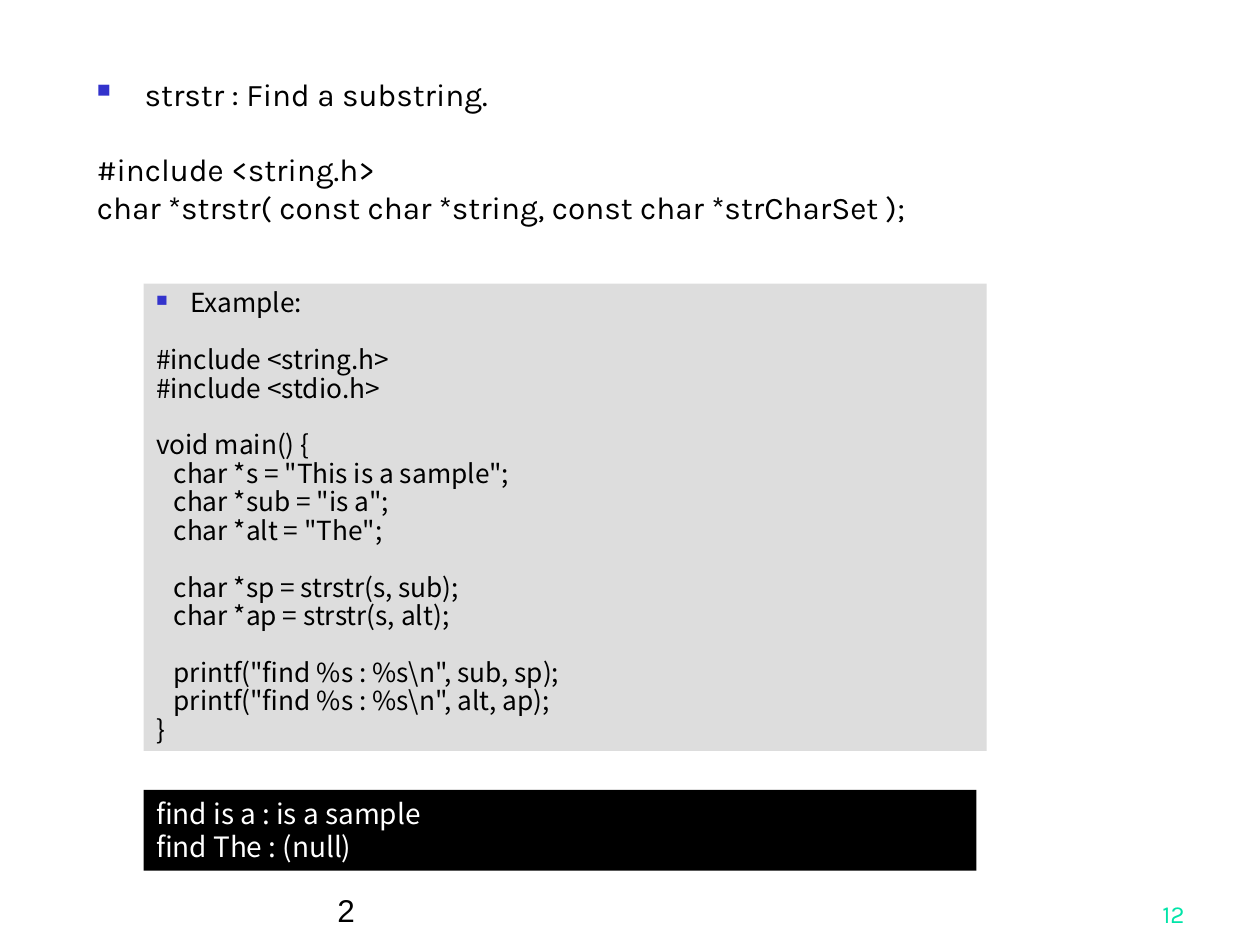
"""Build a slide that explains the C function strstr with an example and its output."""
from lxml.etree import SubElement
from pptx import Presentation
from pptx.dml.color import RGBColor
from pptx.enum.text import MSO_ANCHOR, PP_ALIGN
from pptx.oxml.ns import qn
from pptx.util import Inches, Pt

BLACK = RGBColor(0x00, 0x00, 0x00)
WHITE = RGBColor(0xFF, 0xFF, 0xFF)
GREY = RGBColor(0xDD, 0xDD, 0xDD)
BLUE = RGBColor(0x33, 0x33, 0xCC)
GREEN = RGBColor(0x00, 0xE4, 0xA8)
CODE_FONT = "Noto Sans CJK SC"

SYNTAX = [
    ["strstr : Find a substring."],
    ["#include <string.h>",
     "char *strstr( const char *string, const char *strCharSet );"],
]
EXAMPLE = [
    ["Example:"],
    ["#include <string.h>", "#include <stdio.h>"],
    ["void main() {",
     '   char *s = "This is a sample";',
     '   char *sub = "is a";',
     '   char *alt = "The";'],
    ["   char *sp = strstr(s, sub);", "   char *ap = strstr(s, alt);"],
    ['   printf("find %s : %s\\n", sub, sp);',
     '   printf("find %s : %s\\n", alt, ap);',
     "}"],
]
OUTPUT = [["find is a : is a sample", "find The : (null)"]]


def add_bullet(paragraph, indent):
    properties = paragraph._p.get_or_add_pPr()
    properties.set("marL", str(Inches(indent)))
    properties.set("indent", str(-Inches(indent)))
    colour = SubElement(properties, qn("a:buClr"))
    SubElement(colour, qn("a:srgbClr"), val=str(BLUE))
    SubElement(properties, qn("a:buSzPct"), val="60000")
    SubElement(properties, qn("a:buChar"), char="■")


def write(frame, groups, font, size, colour, spacing=1.0, line_gap=0, group_gap=0, indent=0):
    frame.word_wrap = True
    rows = [(line, place) for group in groups for place, line in enumerate(group)]
    frame.text = "\n".join(line for line, _ in rows)
    for number, (paragraph, (_, place)) in enumerate(zip(frame.paragraphs, rows)):
        paragraph.alignment = PP_ALIGN.LEFT
        paragraph.line_spacing = spacing
        if number:
            paragraph.space_before = Pt(line_gap if place else group_gap)
        elif indent:
            add_bullet(paragraph, indent)
        for run in paragraph.runs:
            run.font.name = font
            run.font.size = Pt(size)
            run.font.color.rgb = colour


def add_panel(slide, place, fill):
    panel = slide.shapes.add_shape(1, *map(Inches, place))
    panel.shadow.inherit = False
    panel.fill.solid()
    panel.fill.fore_color.rgb = fill
    panel.line.fill.background()
    panel.text_frame.vertical_anchor = MSO_ANCHOR.TOP
    return panel.text_frame


def add_text(slide, place):
    return slide.shapes.add_textbox(*map(Inches, place)).text_frame


def main():
    deck = Presentation()
    deck.slide_width, deck.slide_height = Inches(10), Inches(7.5)
    slide = deck.slides.add_slide(deck.slide_layouts[6])

    write(add_panel(slide, (1.14, 2.25, 6.69, 3.71), GREY), EXAMPLE, CODE_FONT, 15, BLACK,
          spacing=Pt(16.25), group_gap=16.25, indent=0.27)
    write(add_text(slide, (0.67, 0.6, 8.35, 1.42)), SYNTAX, "Karla", 18, BLACK,
          spacing=0.8, line_gap=4.5, group_gap=26, indent=0.38)
    write(add_panel(slide, (1.14, 6.27, 6.61, 0.64), BLACK), OUTPUT, CODE_FONT, 16, WHITE,
          spacing=Pt(19.2))

    chapter = add_text(slide, (2.58, 6.92, 5.42, 0.5))
    write(chapter, [["2"]], "Arial", 18, BLACK)
    page = add_text(slide, (7.42, 6.92, 2.08, 0.5))
    write(page, [["12"]], "Karla", 14, GREEN)
    page.paragraphs[0].alignment = PP_ALIGN.RIGHT
    for footer in (chapter, page):
        footer.vertical_anchor = MSO_ANCHOR.BOTTOM

    deck.save("out.pptx")


if __name__ == "__main__":
    main()
